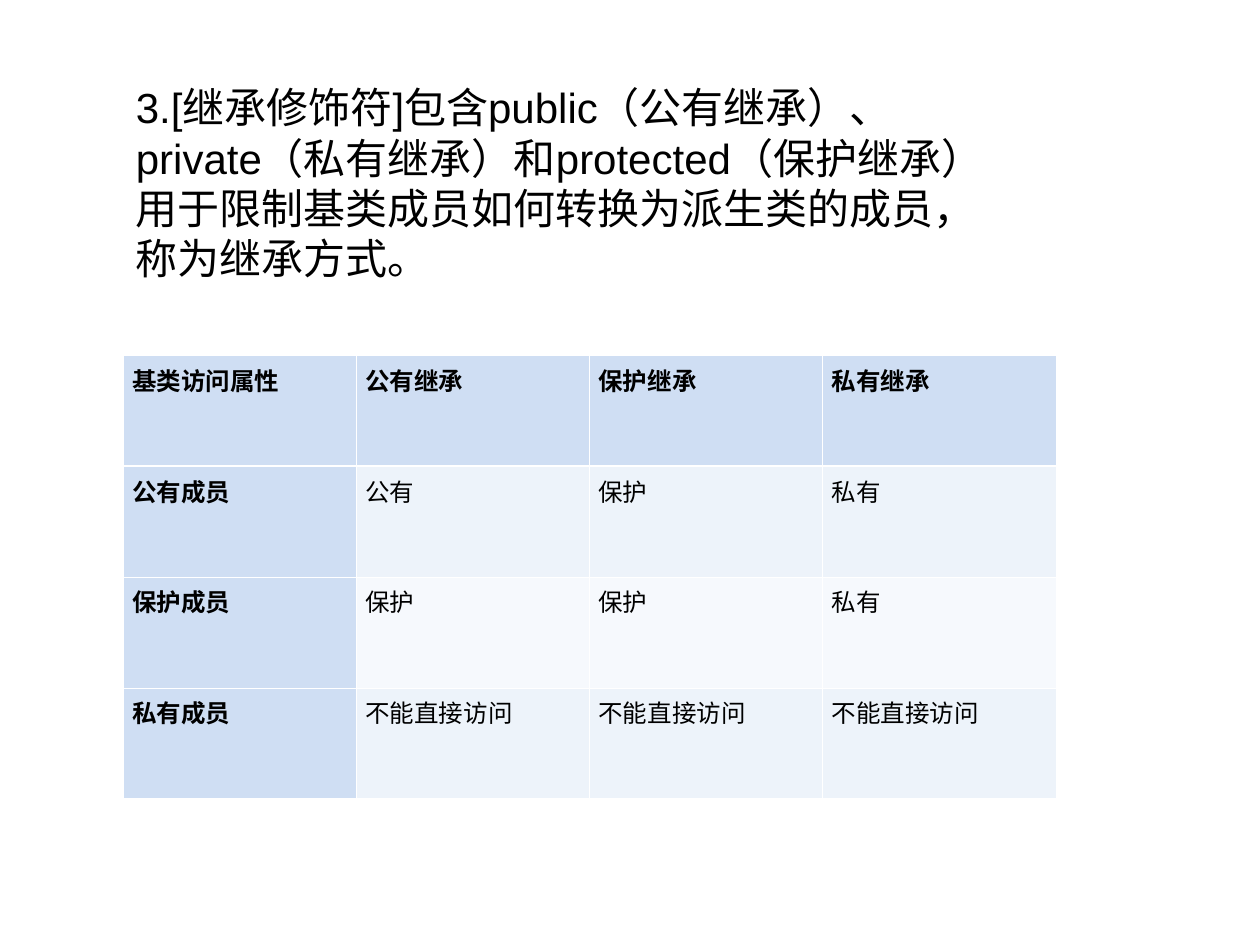
from dataclasses import dataclass

from lxml.etree import SubElement
from pptx import Presentation
from pptx.dml.color import RGBColor
from pptx.enum.text import MSO_AUTO_SIZE, PP_ALIGN
from pptx.oxml.ns import qn
from pptx.util import Inches, Pt

INTRO = (
    "3.[继承修饰符]包含public（公有继承）、 private（私有继承）和protected"
    "（保护继承）用于限制基类成员如何转换为派生类的成员，称为继承方式。"
)
ACCESS_ROWS = [
    ("基类访问属性", "公有继承", "保护继承", "私有继承"),
    ("公有成员", "公有", "保护", "私有"),
    ("保护成员", "保护", "保护", "私有"),
    ("私有成员", "不能直接访问", "不能直接访问", "不能直接访问"),
]


@dataclass(frozen=True)
class Theme:
    font: str = "Arial"
    ink: str = "000000"
    header: str = "CFDEF3"
    bands: tuple = ("F6F9FD", "EDF3FA")
    rule: str = "FFFFFF"
    intro_size: int = 24
    cell_size: int = 14
    thin: float = 0.45
    thick: float = 1.47


THEME = Theme()
LEFT = 0.98
INTRO_TOP, INTRO_WIDTH, INTRO_HEIGHT = 0.6, 7.09, 1.7
TABLE_TOP, COLUMN_WIDTH, ROW_HEIGHT = 2.82, 1.85, 0.88


def write(frame, text, size, bold=False, align=PP_ALIGN.LEFT):
    para = frame.paragraphs[0]
    para.alignment = align
    span = para.add_run()
    span.text = text
    span.font.name = THEME.font
    span.font.size = Pt(size)
    span.font.bold = bold
    span.font.color.rgb = RGBColor.from_string(THEME.ink)


def draw_borders(cell, widths):
    properties = cell._tc.get_or_add_tcPr()
    for side, width in zip("LRTB", widths):
        line = SubElement(properties, qn(f"a:ln{side}"), w=str(Pt(width)))
        fill = SubElement(line, qn("a:solidFill"))
        SubElement(fill, qn("a:srgbClr"), val=THEME.rule)


def add_intro(page):
    box = page.shapes.add_textbox(
        Inches(LEFT), Inches(INTRO_TOP), Inches(INTRO_WIDTH), Inches(INTRO_HEIGHT)
    )
    box.text_frame.word_wrap = True
    box.text_frame.auto_size = MSO_AUTO_SIZE.SHAPE_TO_FIT_TEXT
    write(box.text_frame, INTRO, THEME.intro_size)


def add_access_table(page):
    row_count, column_count = len(ACCESS_ROWS), len(ACCESS_ROWS[0])
    table = page.shapes.add_table(
        row_count, column_count, Inches(LEFT), Inches(TABLE_TOP),
        Inches(COLUMN_WIDTH * column_count), Inches(ROW_HEIGHT * row_count),
    ).table
    for row, texts in enumerate(ACCESS_ROWS):
        for column, text in enumerate(texts):
            cell = table.cell(row, column)
            heading = row == 0 or column == 0
            top = THEME.thick if row == 1 else THEME.thin
            bottom = THEME.thick if row == 0 else THEME.thin
            draw_borders(cell, (THEME.thin, THEME.thin, top, bottom))
            cell.fill.solid()
            color = THEME.header if heading else THEME.bands[row % 2]
            cell.fill.fore_color.rgb = RGBColor.from_string(color)
            cell.margin_left = cell.margin_right = Inches(0.07)
            write(cell.text_frame, text, THEME.cell_size, bold=heading,
                  align=PP_ALIGN.JUSTIFY)


def main():
    """Build the slide on how inheritance modes change member access."""
    deck = Presentation()
    deck.slide_width, deck.slide_height = Inches(10), Inches(7.5)
    page = deck.slides.add_slide(deck.slide_layouts.get_by_name("Blank"))
    add_intro(page)
    add_access_table(page)
    deck.save("out.pptx")


if __name__ == "__main__":
    main()
